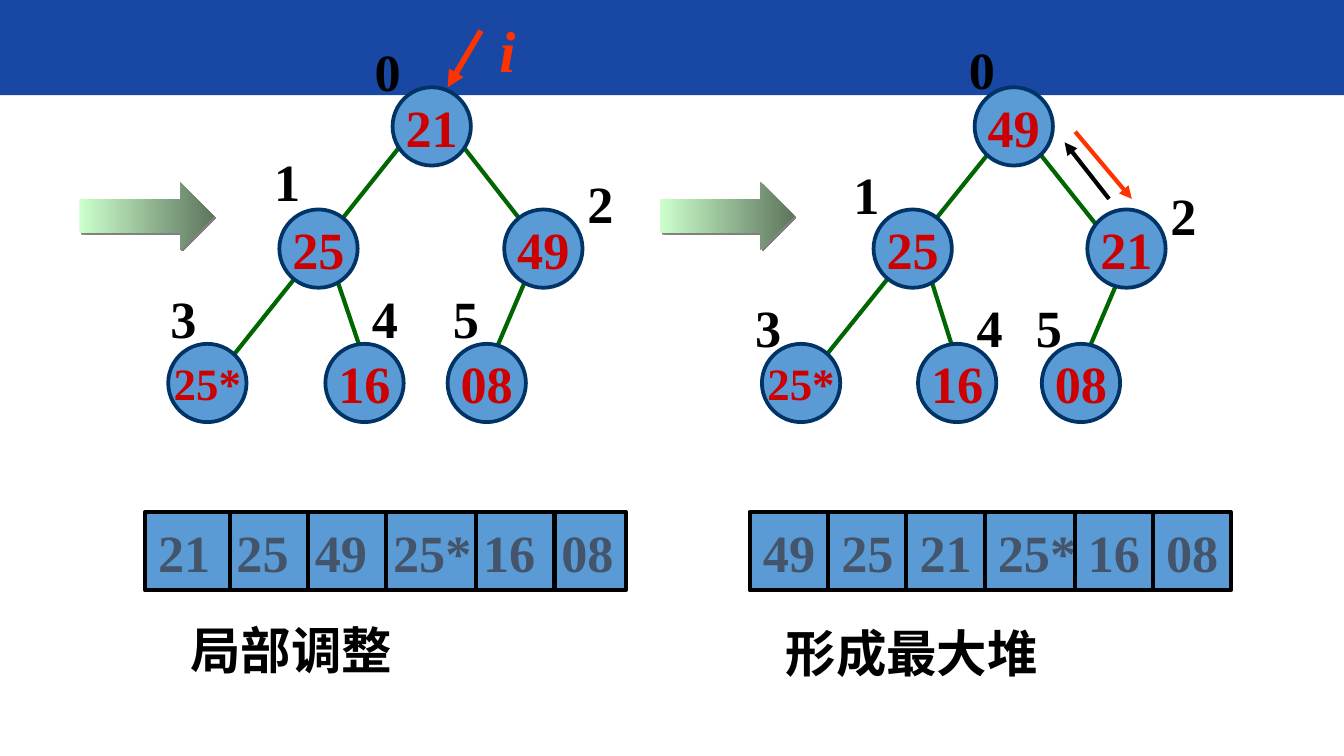
from dataclasses import dataclass
from itertools import accumulate

from lxml import etree
from pptx import Presentation
from pptx.dml.color import RGBColor
from pptx.enum.shapes import MSO_CONNECTOR, MSO_SHAPE as Geometry
from pptx.enum.text import MSO_ANCHOR as Anchor, MSO_AUTO_SIZE as AutoSize, PP_ALIGN as Align
from pptx.oxml.ns import qn
from pptx.util import Cm, Pt

FONT = "Times New Roman"
COLORS = {
    "band": "1848A3", "node": "5B9BD5", "node_line": "003366", "key": "CC0000",
    "edge": "006600", "ink": "000000", "pointer": "FF3300", "cell_text": "44546A",
    "arrow_start": "CCFFCC", "arrow_end": "5E765E", "shadow": "808080",
}

# All lengths are in centimetres
NODE = 1.48
ROW_TOPS = (1.65, 3.96, 3.96, 6.5, 6.5, 6.5)
EDGE_YS = ((2.69, 6.93), (2.69, 4.83), (5.23, 6.5), (5.23, 6.73))
ARRAY_TOP, ARRAY_WIDTH, ARRAY_HEIGHT = 9.68, 9.09, 1.48
CELL_STARTS = tuple(accumulate((1.48, 1.48, 1.48, 1.7, 1.48)))


@dataclass
class Heap:
    keys: tuple[str, ...]
    node_lefts: tuple[float, ...]
    edge_xs: tuple[tuple[float, float], ...]
    index_spots: tuple[tuple[float, float], ...]
    array_left: float
    divider_shift: float
    arrow_left: float


@dataclass
class Label:
    text: str
    left: float
    top: float
    width: float = 0.99
    height: float = 1.45
    size: float = 28
    color: str = "ink"
    italic: bool = False


HEAPS = (
    Heap(("21", "25", "49", "25*", "16", "08"),
         (7.42, 5.28, 9.53, 3.18, 6.15, 8.46),
         ((7.62, 4.24), (8.69, 10.36), (6.35, 6.78), (9.96, 9.32)),
         ((6.83, 0.61), (4.93, 2.69), (10.85, 3.12),
          (2.97, 5.28), (6.78, 5.28), (8.31, 5.28)),
         2.74, 0.12, 1.5),
    Heap(("49", "25", "21", "25*", "16", "08"),
         (18.42, 16.51, 20.55, 14.4, 17.35, 19.69),
         ((18.85, 15.44), (19.48, 21.18), (17.58, 17.98), (21.16, 20.52)),
         ((18.06, 0.58), (15.88, 2.95), (21.87, 3.33),
          (14.02, 5.46), (18.21, 5.46), (19.33, 5.46)),
         14.17, 0, 12.47),
)
CAPTIONS = (
    Label("局部调整", 3.35, 11.58, 4.32, 1.4, 27),
    Label("形成最大堆", 14.6, 11.63, 6.35, 1.4, 27),
)


def rgb(name: str) -> RGBColor:
    return RGBColor.from_string(COLORS[name])


def add_run(paragraph, text: str, size: float, color: str, italic: bool = False) -> None:
    run = paragraph.add_run()
    run.text = text
    run.font.name, run.font.size = FONT, Pt(size)
    run.font.bold, run.font.italic = True, italic
    run.font.color.rgb = rgb(color)


def add_box(slide, geometry, left: float, top: float, width: float, height: float,
            fill: str, line: str = "", line_width: float = 2):
    box = slide.shapes.add_shape(geometry, Cm(left), Cm(top), Cm(width), Cm(height))
    box.shadow.inherit = False
    box.fill.solid()
    box.fill.fore_color.rgb = rgb(fill)
    if line:
        box.line.color.rgb, box.line.width = rgb(line), Pt(line_width)
    else:
        box.line.fill.background()
    return box


def add_line(slide, x1: float, y1: float, x2: float, y2: float,
             color: str, width: float = 2.25, arrow: bool = False) -> None:
    line = slide.shapes.add_connector(
        MSO_CONNECTOR.STRAIGHT, Cm(x1), Cm(y1), Cm(x2), Cm(y2))
    line.line.color.rgb, line.line.width = rgb(color), Pt(width)
    if arrow:
        etree.SubElement(line.line._get_or_add_ln(), qn("a:tailEnd"), type="triangle")
    etree.SubElement(line._element.spPr, qn("a:effectLst"))


def add_label(slide, label: Label) -> None:
    box = slide.shapes.add_textbox(
        Cm(label.left), Cm(label.top), Cm(label.width), Cm(label.height))
    box.text_frame.word_wrap = False
    box.text_frame.auto_size = AutoSize.SHAPE_TO_FIT_TEXT
    add_run(box.text_frame.paragraphs[0], label.text, label.size, label.color, label.italic)


def add_node(slide, key: str, left: float, top: float) -> None:
    node = add_box(slide, Geometry.OVAL, left, top, NODE, NODE, "node", "node_line")
    frame = node.text_frame
    frame.word_wrap, frame.vertical_anchor = False, Anchor.MIDDLE
    frame.paragraphs[0].alignment = Align.CENTER
    add_run(frame.paragraphs[0], key, 24 if len(key) > 2 else 28, "key")


def add_array(slide, heap: Heap) -> None:
    array = add_box(slide, Geometry.RECTANGLE, heap.array_left, ARRAY_TOP,
                    ARRAY_WIDTH, ARRAY_HEIGHT, "node", "ink", 2.25)
    frame = array.text_frame
    frame.word_wrap, frame.vertical_anchor = True, Anchor.MIDDLE
    frame.margin_right = 0
    row = frame.paragraphs[0]
    row.alignment = Align.LEFT
    # One tab stop for each cell after the first
    stops = etree.SubElement(row._p.get_or_add_pPr(), qn("a:tabLst"))
    for start in CELL_STARTS:
        etree.SubElement(stops, qn("a:tab"), pos=str(int(Cm(start))), algn="l")
        x = heap.array_left + heap.divider_shift + start
        add_line(slide, x, ARRAY_TOP, x, ARRAY_TOP + ARRAY_HEIGHT, "ink")
    add_run(row, "\t".join(heap.keys), 28, "cell_text")


def add_step_arrow(slide, left: float) -> None:
    arrow = add_box(slide, Geometry.RIGHT_ARROW, left, 3.45, 2.54, 1.27, "arrow_start")
    arrow.fill.gradient()
    arrow.fill.gradient_angle = 0
    for stop, position, color in zip(
            arrow.fill.gradient_stops, (0, 1), ("arrow_start", "arrow_end")):
        stop.position, stop.color.rgb = position, rgb(color)
    effects = arrow._element.spPr.find(qn("a:effectLst"))
    shadow = etree.SubElement(effects, qn("a:outerShdw"), dist=str(int(Pt(1.4))),
                              dir="2700000", algn="ctr", rotWithShape="0")
    etree.SubElement(shadow, qn("a:srgbClr"), val=COLORS["shadow"])


def add_heap(slide, heap: Heap) -> None:
    # Edges lie behind the nodes
    for (x1, x2), (y1, y2) in zip(heap.edge_xs, EDGE_YS):
        add_line(slide, x1, y1, x2, y2, "edge")
    for key, left, top in zip(heap.keys, heap.node_lefts, ROW_TOPS):
        add_node(slide, key, left, top)
    for index, (left, top) in enumerate(heap.index_spots):
        add_label(slide, Label(str(index), left, top))
    add_array(slide, heap)
    add_step_arrow(slide, heap.arrow_left)


def main() -> None:
    deck = Presentation()
    deck.slide_width, deck.slide_height = Cm(25.4), Cm(14.29)
    slide = deck.slides.add_slide(deck.slide_layouts[6])

    # Header band
    add_box(slide, Geometry.RECTANGLE, 0, 0, 25.4, 1.8, "band")

    # Heaps before and after the adjustment
    for heap, caption in zip(HEAPS, CAPTIONS):
        add_heap(slide, heap)
        add_label(slide, caption)

    # Pointer i to the root
    add_line(slide, 9.09, 0.58, 8.46, 1.65, "pointer", 3, arrow=True)
    add_label(slide, Label("i", 9.19, 0.15, 0.81, 1.57, 31, "pointer", italic=True))

    # Swap of 21 and 49
    add_line(slide, 20.96, 3.76, 20.12, 2.69, "ink", arrow=True)
    add_line(slide, 20.32, 2.49, 21.39, 3.76, "pointer", arrow=True)

    deck.save("out.pptx")


if __name__ == "__main__":
    main()
